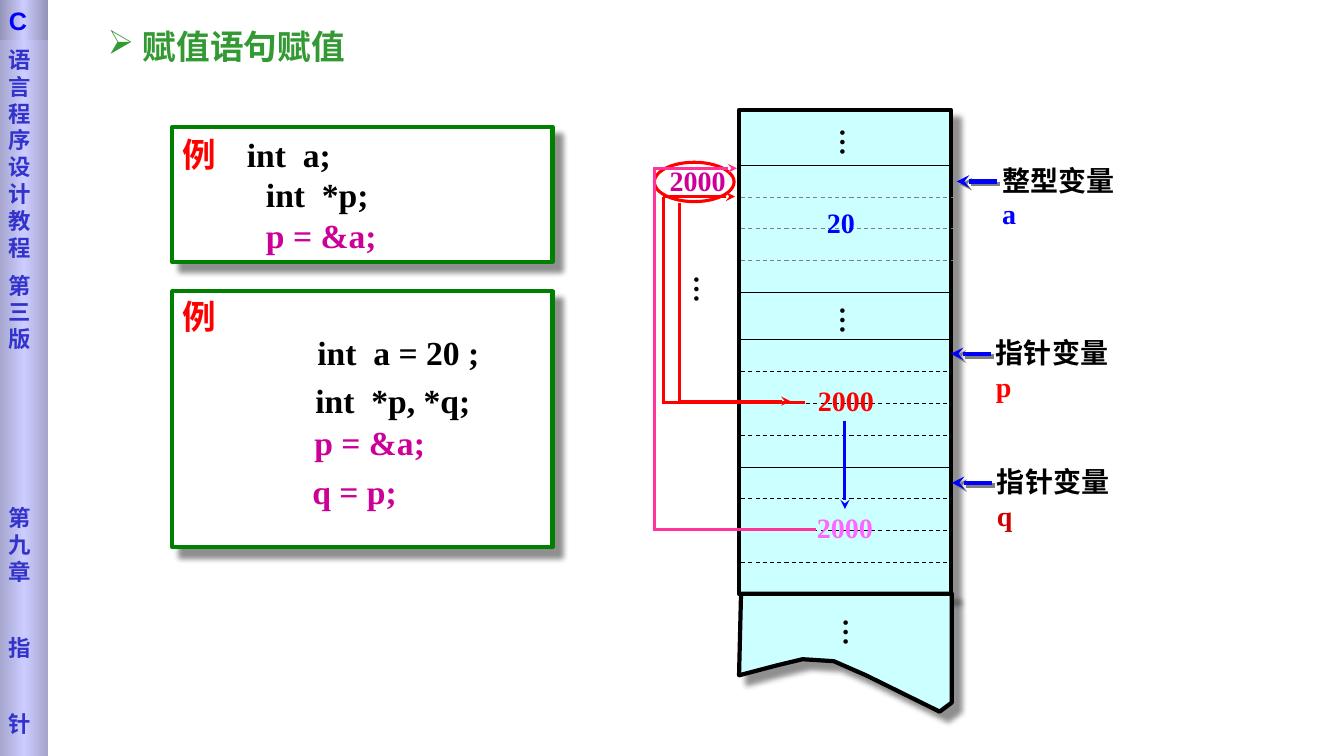
from dataclasses import dataclass

import lxml.etree
import pptx
import pptx.dml.color
import pptx.enum.shapes
import pptx.enum.dml
import pptx.enum.text
import pptx.oxml
import pptx.oxml.ns
import pptx.util

Inches = pptx.util.Inches
Pt = pptx.util.Pt
SHAPES = pptx.enum.shapes.MSO_SHAPE
ALIGN = pptx.enum.text.PP_ALIGN
ANCHOR = pptx.enum.text.MSO_ANCHOR
qn = pptx.oxml.ns.qn


@dataclass(frozen=True)
class Theme:
    serif: str = "Times New Roman"
    cjk: str = "Noto Sans CJK SC"
    side_font: str = "DejaVu Sans"
    sans: str = "Arial"
    code: int = 24
    label: int = 20
    corner: int = 18
    side: int = 16
    black: str = "000000"
    grey: str = "808080"
    white: str = "FFFFFF"
    memory: str = "CCFFFF"
    frame: str = "008000"
    heading: str = "339933"
    red: str = "FF0000"
    dark_red: str = "CC0000"
    blue: str = "0000FF"
    magenta: str = "CC0099"
    pink: str = "FF3399"
    light_pink: str = "FF66FF"
    side_text: str = "3333CC"
    side_edge: str = "A4A4CD"
    corner_edge: str = "9292B6"
    side_middle: str = "CCCCFF"


T = Theme()


def rgb(value):
    return pptx.dml.color.RGBColor.from_string(value)


def add_xml(parent, tag, **attributes):
    return lxml.etree.SubElement(parent, qn(tag), attributes)


def set_effects(shape, shadow=None):
    properties = shape._element.spPr
    for old in properties.findall(qn("a:effectLst")):
        properties.remove(old)
    effects = add_xml(properties, "a:effectLst")
    if shadow:
        color, alpha, blur, distance = shadow
        outer = add_xml(effects, "a:outerShdw", blurRad=str(Pt(blur)), dist=str(Pt(distance)),
                        dir="2700000", algn="ctr", rotWithShape="0")
        add_xml(add_xml(outer, "a:srgbClr", val=color), "a:alpha", val=str(alpha * 1000))


def add_run(paragraph, text, color, size, font=T.serif, east=T.cjk):
    run = paragraph.add_run()
    run.text = text
    run.font.size = Pt(size)
    run.font.bold = True
    run.font.name = font
    run.font.color.rgb = rgb(color)
    add_xml(run._r.get_or_add_rPr(), "a:ea", typeface=east)


def set_indent(paragraph, margin, first):
    properties = paragraph._p.get_or_add_pPr()
    properties.set("marL", str(Inches(margin)))
    properties.set("indent", str(Inches(first)))
    return properties


def add_text(slide, box, runs, size, align=ALIGN.LEFT, anchor=ANCHOR.TOP, wrap=False):
    frame = slide.shapes.add_textbox(*map(Inches, box)).text_frame
    frame.word_wrap = wrap
    frame.vertical_anchor = anchor
    paragraph = frame.paragraphs[0]
    paragraph.alignment = align
    for text, color in runs:
        add_run(paragraph, text, color, size)
    return frame


def add_ellipsis(slide, left, top):
    frame = add_text(slide, (left, top, 0.54, 0.38), [("…", T.black)], T.label,
                     ALIGN.CENTER, ANCHOR.MIDDLE)
    frame._txBody.bodyPr.set("vert", "eaVert")


def add_value(slide, left, top, width, text, color):
    add_text(slide, (left, top, width, 0.43), [(text, color)], T.label,
             ALIGN.CENTER, ANCHOR.MIDDLE)


def add_line(slide, start, end, color, width=2.25, arrow=False, dashed=False, shadow=None):
    line = slide.shapes.add_connector(pptx.enum.shapes.MSO_CONNECTOR.STRAIGHT,
                                      *map(Inches, (*start, *end)))
    line.line.color.rgb = rgb(color)
    line.line.width = Pt(width)
    if dashed:
        line.line.dash_style = pptx.enum.dml.MSO_LINE.DASH
    if arrow:
        add_xml(line.line._get_or_add_ln(), "a:tailEnd", type="stealth")
    set_effects(line, shadow)


def paint(shape, fill, outline, width=3):
    shape.shadow.inherit = False
    if fill:
        shape.fill.solid()
        shape.fill.fore_color.rgb = rgb(fill)
        set_effects_after_line = (T.black, 43, 4, 8.4)
    else:
        shape.fill.background()
        set_effects_after_line = None
    shape.line.color.rgb = rgb(outline)
    shape.line.width = Pt(width)
    set_effects(shape, set_effects_after_line)


def add_box(slide, box, fill, outline):
    shape = slide.shapes.add_shape(SHAPES.RECTANGLE, *map(Inches, box))
    paint(shape, fill, outline)
    return shape


def add_memory(slide):
    add_box(slide, (7.33, 1.09, 2.1, 4.8), T.memory, T.black)
    for top, cells, solid, dash_color in ((1.64, 4, (0, 4), T.grey), (3.37, 7, (0, 4), T.black)):
        for i in range(cells + 1):
            y = top + 0.316 * i
            add_line(slide, (7.35, y), (9.45, y), T.black if i in solid else dash_color,
                     0.75, dashed=i not in solid)
    torn = [(9.44, 5.89), (9.44, 6.97), (9.32, 7.06), (8.59, 6.7), (8.27, 6.56),
            (7.96, 6.54), (7.71, 6.6), (7.33, 6.7)]
    builder = slide.shapes.build_freeform(Inches(7.35), Inches(5.89))
    builder.add_line_segments([(Inches(x), Inches(y)) for x, y in torn], close=True)
    paint(builder.convert_to_shape(), T.memory, T.black)
    for left, top in ((8.18, 1.18), (8.18, 2.94), (8.21, 6.04), (6.73, 2.63)):
        add_ellipsis(slide, left, top)


def add_example(slide, box, code=()):
    frame = add_box(slide, box, T.white, T.frame).text_frame
    frame.word_wrap = True
    frame.vertical_anchor = ANCHOR.MIDDLE if code else ANCHOR.TOP
    first = frame.paragraphs[0]
    first.alignment = ALIGN.LEFT
    add_run(first, "例", T.red, T.code, T.cjk)
    for i, (text, color) in enumerate(code):
        paragraph = frame.add_paragraph() if i else first
        paragraph.alignment = ALIGN.LEFT
        if i:
            set_indent(paragraph, 0.83, 0)
        else:
            tabs = add_xml(first._p.get_or_add_pPr(), "a:tabLst")
            add_xml(tabs, "a:tab", pos=str(Inches(0.64)), algn="l")
            text = "\t" + text
        add_run(paragraph, text, color, T.code)


def add_variable(slide, left, y, kind, name, color):
    add_line(slide, (left + 0.05, y), (left - 0.35, y), T.blue, 3, True,
             shadow=(T.grey, 100, 0, 2.8))
    frame = add_text(slide, (left, y - 0.23, 1.47, 0.43), [(kind, T.black)], T.label)
    add_run(frame.add_paragraph(), name, color, T.label)


def add_band(slide, height, edge):
    band = slide.shapes.add_shape(SHAPES.RECTANGLE, *map(Inches, (-0.01, 0, 0.49, height)))
    band.shadow.inherit = False
    band.line.fill.background()
    band.fill.gradient()
    band.fill.gradient_angle = 0
    stops = band._element.spPr.find(qn("a:gradFill")).find(qn("a:gsLst"))
    for stop in list(stops):
        stops.remove(stop)
    for position, color in ((0, edge), (50000, T.side_middle), (100000, edge)):
        add_xml(add_xml(stops, "a:gs", pos=str(position)), "a:srgbClr", val=color)
    band.text_frame.word_wrap = True
    return band.text_frame


def add_sidebar(slide):
    frame = add_band(slide, 7.5, T.side_edge)
    frame.vertical_anchor = ANCHOR.TOP
    frame.margin_top = Inches(0.46)
    chapters = (("语言程序设计教程", 0), ("第三版", 8), ("第九章", 108.7), ("指", 35.1), ("针", 35.1))
    for i, (text, gap) in enumerate(chapters):
        paragraph = frame.add_paragraph() if i else frame.paragraphs[0]
        paragraph.alignment = ALIGN.LEFT
        paragraph.line_spacing = Pt(19.15)
        paragraph.space_before = Pt(gap)
        add_run(paragraph, text, T.side_text, T.side, T.side_font)
    corner = add_band(slide, 0.4, T.corner_edge)
    corner.paragraphs[0].alignment = ALIGN.LEFT
    add_run(corner.paragraphs[0], "C", T.blue, T.corner, T.sans)


def add_heading(slide):
    frame = add_text(slide, (0.97, 0.21, 2.67, 0.5), [("赋值语句赋值", T.heading)], T.code)
    add_xml(set_indent(frame.paragraphs[0], 0.35, -0.35), "a:buChar", char="➢")


def main():
    deck = pptx.Presentation()
    deck.slide_width, deck.slide_height = Inches(13.33), Inches(7.5)
    slide = deck.slides.add_slide(deck.slide_layouts[6])
    add_memory(slide)
    add_value(slide, 6.54, 1.57, 0.76, "2000", T.magenta)
    add_example(slide, (1.71, 1.26, 3.77, 1.34),
                (("int  a;", T.black), ("int  *p;", T.black), ("p = &a;", T.magenta)))
    add_heading(slide)
    add_example(slide, (1.71, 2.89, 3.77, 2.54))
    for left, top, text, color in ((3.05, 3.24, "int  a = 20 ;", T.black),
                                   (3.03, 3.72, "int  *p, *q;", T.black),
                                   (3.02, 4.14, "p = &a;", T.magenta),
                                   (3, 4.62, "q = p;", T.magenta)):
        add_text(slide, (left, top, 2.3, 0.5), [(text, color)], T.code)
    add_variable(slide, 9.84, 1.8, "整型变量", "a", T.blue)
    add_variable(slide, 9.78, 3.51, "指针变量", "p", T.red)
    add_variable(slide, 9.79, 4.79, "指针变量", "q", T.dark_red)
    add_value(slide, 8.1, 1.99, 0.48, "20", T.blue)
    paint(slide.shapes.add_shape(SHAPES.OVAL, *map(Inches, (6.49, 1.61, 0.79, 0.39))),
          None, T.red, 2.25)
    add_value(slide, 7.84, 3.76, 1.1, "2000", T.red)
    add_value(slide, 7.83, 5.02, 1.1, "2000", T.light_pink)
    for start, end, color, arrow in (((6.74, 2.01), (6.74, 4), T.red, False),
                                     ((6.74, 3.98), (7.84, 3.98), T.red, True),
                                     ((7.98, 3.99), (6.57, 3.99), T.red, False),
                                     ((6.58, 1.95), (7.29, 1.95), T.red, True),
                                     ((6.58, 1.95), (6.58, 4), T.red, False),
                                     ((8.09, 5.25), (6.48, 5.25), T.pink, False),
                                     ((6.5, 1.67), (7.31, 1.67), T.pink, True),
                                     ((6.49, 1.66), (6.49, 5.26), T.pink, False),
                                     ((8.38, 4.18), (8.38, 5.05), T.blue, True)):
        add_line(slide, start, end, color, arrow=arrow)
    add_sidebar(slide)
    deck.save("out.pptx")


if __name__ == "__main__":
    main()
